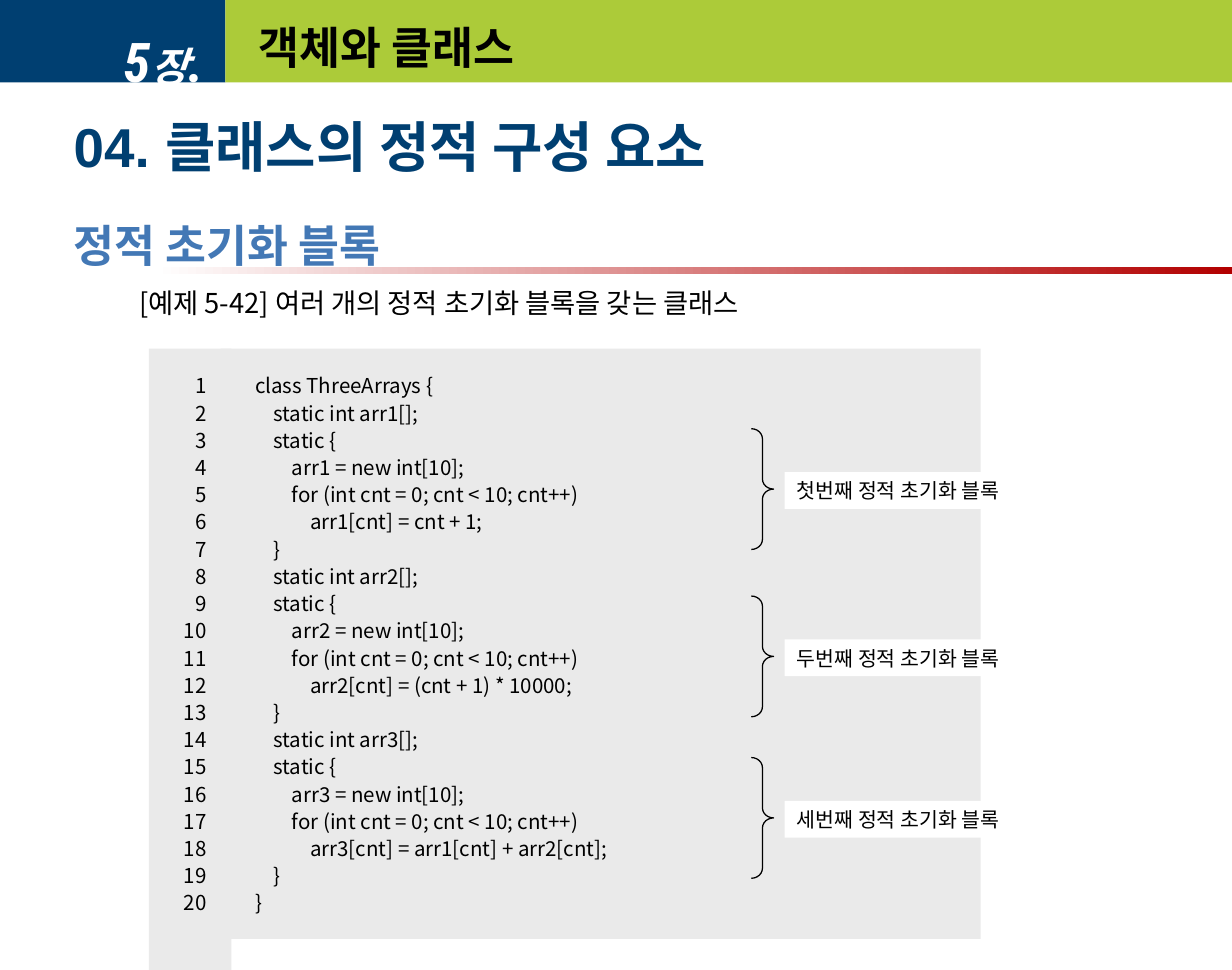
from lxml import etree
from pptx import Presentation
from pptx.dml.color import RGBColor
from pptx.enum.shapes import MSO_SHAPE
from pptx.enum.text import MSO_ANCHOR, MSO_AUTO_SIZE, PP_ALIGN
from pptx.oxml.ns import qn
from pptx.util import Cm, Pt

RECTANGLE, BRACE = MSO_SHAPE.RECTANGLE, MSO_SHAPE.RIGHT_BRACE
TOP, MIDDLE = MSO_ANCHOR.TOP, MSO_ANCHOR.MIDDLE
LEFT, RIGHT = PP_ALIGN.LEFT, PP_ALIGN.RIGHT
NO_AUTOFIT = MSO_AUTO_SIZE.NONE

COLORS = {
    "navy": "003F71", "green": "ACCB39", "blue": "4378B5", "red": "B20000",
    "gray": "EAEAEA", "white": "FFFFFF", "black": "000000",
}
KOREAN = "Noto Sans CJK KR"
INSETS = (0.25, 0.13, 0.25, 0.13)

CODE = """class ThreeArrays {
    static int arr1[];
    static {
        arr1 = new int[10];
        for (int cnt = 0; cnt < 10; cnt++)
            arr1[cnt] = cnt + 1;
    }
    static int arr2[];
    static {
        arr2 = new int[10];
        for (int cnt = 0; cnt < 10; cnt++)
            arr2[cnt] = (cnt + 1) * 10000;
    }
    static int arr3[];
    static {
        arr3 = new int[10];
        for (int cnt = 0; cnt < 10; cnt++)
            arr3[cnt] = arr1[cnt] + arr2[cnt];
    }
}""".split("\n")


def color(name):
    return RGBColor.from_string(COLORS[name])


def set_font(font, size, color_name, name=KOREAN, bold=False, italic=False):
    font.name, font.size, font.bold, font.italic = name, Pt(size), bold, italic
    font.color.rgb = color(color_name)


def set_east_asian(text_frame):
    for paragraph in text_frame.paragraphs:
        for run in paragraph.runs:
            properties = run.font._element if hasattr(run.font, "_element") else run._r.get_or_add_rPr()
            etree.SubElement(properties, qn("a:ea")).set("typeface", KOREAN)


def place(shape, left, top, width, height):
    shape.left, shape.top = Cm(left), Cm(top)
    shape.width, shape.height = Cm(width), Cm(height)
    shape.element.getparent().append(shape.element)


def set_frame(text_frame, anchor=TOP, insets=INSETS, wrap=True):
    text_frame.auto_size = NO_AUTOFIT
    text_frame.word_wrap = wrap
    text_frame.vertical_anchor = anchor
    (text_frame.margin_left, text_frame.margin_top,
     text_frame.margin_right, text_frame.margin_bottom) = map(Cm, insets)


def add_panel(slide, left, top, width, height, fill):
    panel = slide.shapes.add_shape(RECTANGLE, Cm(left), Cm(top), Cm(width), Cm(height))
    panel.shadow.inherit = False
    panel.line.fill.background()
    panel.fill.solid()
    panel.fill.fore_color.rgb = color(fill)
    return panel


def add_header(slide, left, top, width, height):
    chapter_width = 4.65
    add_panel(slide, left, top, chapter_width, height, "navy")
    chapter = slide.shapes.add_textbox(Cm(left), Cm(top + 0.2), Cm(4.45), Cm(2.1))
    set_frame(chapter.text_frame, MIDDLE)
    paragraph = chapter.text_frame.paragraphs[0]
    paragraph.alignment = RIGHT
    for text, size in (("5", 32), ("장", 24), (".", 32)):
        run = paragraph.add_run()
        run.text = text
        set_font(run.font, size, "white", "Roboto Condensed", True, True)
    set_east_asian(chapter.text_frame)

    add_panel(slide, left + chapter_width, top, width - chapter_width, height, "green")
    title = slide.shapes.title
    place(title, left + 5.08, top + 0.2, 19.9, 1.52)
    title.text_frame.text = "객체와 클래스"
    set_frame(title.text_frame, MIDDLE)
    paragraph = title.text_frame.paragraphs[0]
    paragraph.alignment = LEFT
    set_font(paragraph.font, 26, "black", bold=True)
    set_east_asian(title.text_frame)


def add_headings(slide, left, top, width, height):
    rule = add_panel(slide, left + 1.91, top + 3.17, 22.22, 0.15, "white")
    rule.fill.gradient()
    rule.fill.gradient_angle = 0
    for stop, name in zip(rule.fill.gradient_stops, ("white", "red")):
        stop.color.rgb = color(name)

    body = slide.placeholders[1]
    place(body, left, top, width, height)
    frame = body.text_frame
    set_frame(frame)
    headings = (
        (("04. ", "클래스의 정적 구성 요소"), 32, "navy", KOREAN, True, 0, 0, 0),
        (("정적 초기화 블록",), 26, "blue", "Arial Narrow", True, 26.5, 6.5, 0),
        (("[예제 5-42] 여러 개의 정적 초기화 블록을 갖는 클래스",),
         16, "black", KOREAN, False, 4, 4, 1.35),
    )
    for index, (texts, size, color_name, name, bold, before, after, indent) in enumerate(headings):
        paragraph = frame.paragraphs[0] if index == 0 else frame.add_paragraph()
        paragraph.level = 1 if indent else 0
        paragraph.alignment = LEFT
        paragraph.line_spacing = 0.9
        paragraph.space_before, paragraph.space_after = Pt(before), Pt(after)
        properties = paragraph._p.get_or_add_pPr()
        properties.set("marL", str(Cm(indent)))
        properties.set("indent", "0")
        etree.SubElement(properties, qn("a:buNone"))
        for text in texts:
            paragraph.add_run().text = text
        set_font(paragraph.font, size, color_name, name, bold)
    frame.paragraphs[0].runs[0].font.name = "Arial"
    set_east_asian(frame)


def add_lines(slide, box, lines, alignment, left_inset):
    panel = add_panel(slide, *box, "gray")
    frame = panel.text_frame
    frame.text = "\n".join(lines)
    set_frame(frame, insets=(left_inset, 0.51, 0.51, 0.51))
    for index, paragraph in enumerate(frame.paragraphs):
        paragraph.alignment = alignment
        paragraph.line_spacing = Pt(14.4)
        paragraph.space_before = Pt(1.5 if index else 0)
        set_font(paragraph.font, 12, "black")
    set_east_asian(frame)


def add_block_note(slide, left, top, width, height, text):
    brace_width, label_offset, label_height = 0.46, 0.69, 0.76
    brace = slide.shapes.add_shape(BRACE, Cm(left), Cm(top), Cm(brace_width), Cm(height))
    brace.shadow.inherit = False
    brace.adjustments[0] = 0.45
    brace.fill.background()
    brace.line.color.rgb = color("black")
    brace.line.width = Pt(0.75)

    label = add_panel(slide, left + label_offset, top + (height - label_height) / 2 + 0.03,
                      width - label_offset, label_height, "white")
    label.text_frame.text = text
    set_frame(label.text_frame, MIDDLE)
    paragraph = label.text_frame.paragraphs[0]
    paragraph.alignment = LEFT
    set_font(paragraph.font, 12, "black")
    set_east_asian(label.text_frame)


def add_listing(slide, left, top, width, height):
    gutter_width, code_offset, code_height = 1.7, 1.48, 12.17
    add_lines(slide, (left + code_offset, top, width - code_offset, code_height), CODE, LEFT, 0.71)
    numbers = [str(number) for number in range(1, len(CODE) + 1)]
    add_lines(slide, (left, top, gutter_width, height), numbers, RIGHT, 0.2)
    for ordinal, offset in (("첫", 1.65), ("두", 5.1), ("세", 8.43)):
        add_block_note(slide, left + 12.42, top + offset, 5.72, 2.49,
                       f"{ordinal}번째 정적 초기화 블록")


def main():
    presentation = Presentation()
    presentation.slide_width, presentation.slide_height = Cm(25.4), Cm(20)
    slide = presentation.slides.add_slide(presentation.slide_layouts[1])
    add_header(slide, 0, 0, 25.4, 1.7)
    add_headings(slide, 1.27, 2.34, 22.83, 15.04)
    add_listing(slide, 3.07, 7.19, 17.15, 12.81)
    presentation.save("out.pptx")


if __name__ == "__main__":
    main()
